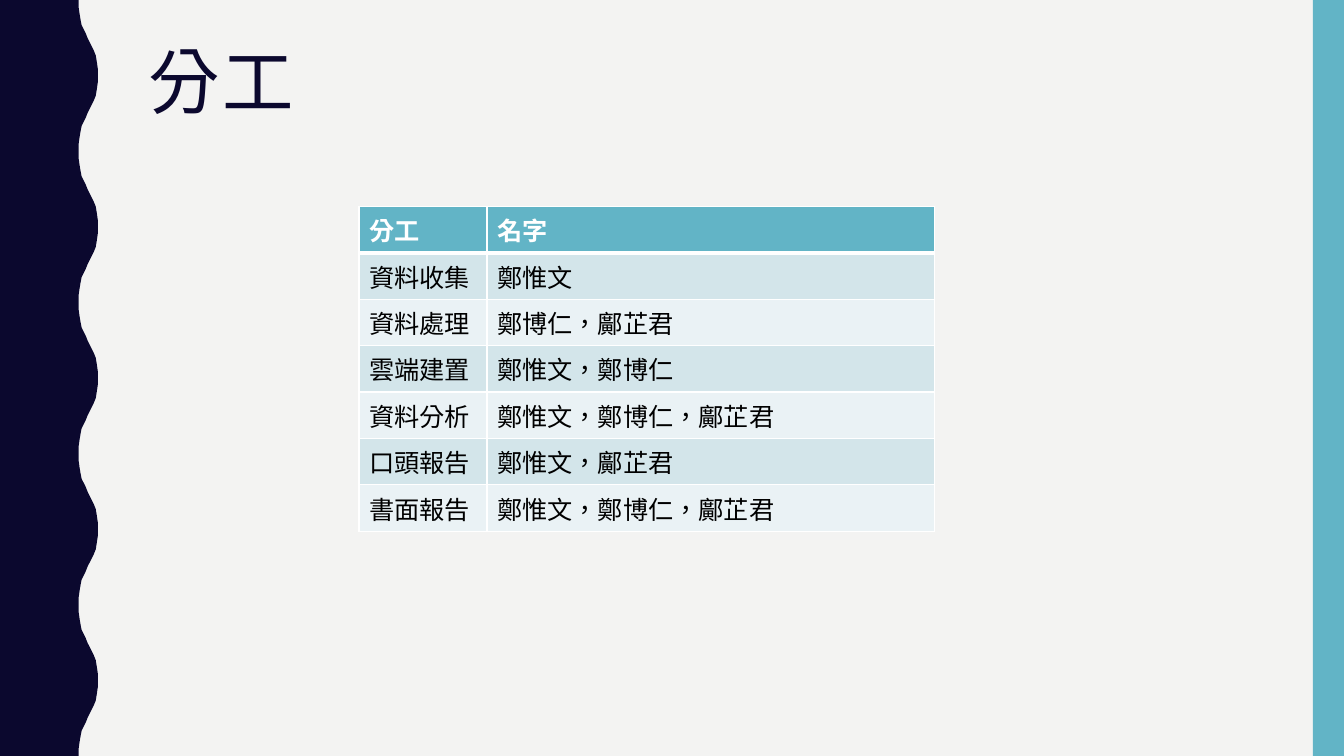
from lxml.etree import SubElement
from pptx import Presentation
from pptx.dml.color import RGBColor
from pptx.enum.shapes import MSO_SHAPE as Shape
from pptx.enum.text import MSO_ANCHOR as Anchor
from pptx.oxml.ns import qn
from pptx.util import Inches, Pt

NAVY, TEAL, PAPER = "0B082E", "62B4C6", "F3F3F2"
WHITE, BLACK = "FFFFFF", "000000"
BANDS = ["D3E5EA", "EAF2F5"]
WAVE_PERIOD = 1.5
HALF_WAVE = [
    (0.78, 0), (0.78, 0.07), (0.79, 0.14), (0.8, 0.2), (0.81, 0.25),
    (0.83, 0.29), (0.85, 0.33), (0.87, 0.38), (0.89, 0.42), (0.91, 0.46),
    (0.93, 0.5), (0.95, 0.55), (0.96, 0.61), (0.97, 0.68), (0.97, 0.75),
]
DUTIES = [
    ("分工", "名字"),
    ("資料收集", "鄭惟文"),
    ("資料處理", "鄭博仁，鄺芷君"),
    ("雲端建置", "鄭惟文，鄭博仁"),
    ("資料分析", "鄭惟文，鄭博仁，鄺芷君"),
    ("口頭報告", "鄭惟文，鄺芷君"),
    ("書面報告", "鄭惟文，鄭博仁，鄺芷君"),
]


def paint(fill, color):
    """Give a fill one solid colour."""
    fill.solid()
    fill.fore_color.rgb = RGBColor.from_string(color)


def finish(shape, color):
    """Make a shape flat, with a plain fill and no outline."""
    paint(shape.fill, color)
    shape.line.fill.background()
    shape.shadow.inherit = False


def add_span(para, text, font, size, color, bold=False):
    """Add one run of styled Traditional Chinese text."""
    span = para.add_run()
    span.text = text
    span.font.name = font
    span.font.size = Pt(size)
    span.font.bold = bold
    span.font._element.set("lang", "zh-TW")
    paint(span.font.fill, color)
    return span


def add_wavy_edge(page, left, top, height):
    """Draw the band whose right side is a repeated wave."""
    mirrored = [(x, WAVE_PERIOD - y) for x, y in HALF_WAVE[-2:0:-1]]
    wave = [
        (x, y + turn * WAVE_PERIOD)
        for turn in range(round(height / WAVE_PERIOD))
        for x, y in HALF_WAVE + mirrored
    ]
    outline = wave + [(HALF_WAVE[0][0], height), (0, height)]
    builder = page.shapes.build_freeform(Inches(left), Inches(top))
    builder.add_line_segments(
        [(Inches(left + x), Inches(top + y)) for x, y in outline]
    )
    finish(builder.convert_to_shape(), NAVY)


def add_side_bar(page, left, top, width, height):
    """Draw the plain bar along the right side."""
    bar = page.shapes.add_shape(
        Shape.RECTANGLE, *map(Inches, (left, top, width, height))
    )
    finish(bar, TEAL)


def add_title(page, left, top, width, height, text):
    """Write the slide heading."""
    box = page.shapes.add_textbox(*map(Inches, (left, top, width, height)))
    frame = box.text_frame
    frame.word_wrap = True
    frame.vertical_anchor = Anchor.TOP
    para = frame.paragraphs[0]
    para.line_spacing = 0.9
    span = add_span(para, text, "Arial Narrow", 51, NAVY)
    span.font._element.set("spc", "200")


def add_borders(cell, bottom):
    """Draw white cell borders, with the given bottom width in points."""
    properties = cell._tc.get_or_add_tcPr()
    for tag, width in (("lnL", 1), ("lnR", 1), ("lnT", 1), ("lnB", bottom)):
        line = SubElement(properties, qn(f"a:{tag}"), w=str(Pt(width)))
        fill = SubElement(line, qn("a:solidFill"))
        SubElement(fill, qn("a:srgbClr"), val=WHITE)


def add_duty_table(page, left, top, widths, row_height):
    """Fill the table of tasks and names."""
    height = row_height * len(DUTIES)
    table = page.shapes.add_table(
        len(DUTIES), len(widths),
        *map(Inches, (left, top, sum(widths), height)),
    ).table
    for column, width in zip(table.columns, widths):
        column.width = Inches(width)
    for index, (row, texts) in enumerate(zip(table.rows, DUTIES)):
        head = index == 0
        row.height = Inches(row_height)
        for cell, text in zip(row.cells, texts):
            add_borders(cell, 3 if head else 1)
            paint(cell.fill, TEAL if head else BANDS[(index - 1) % 2])
            para = cell.text_frame.paragraphs[0]
            add_span(para, text, "Calibri", 18, WHITE if head else BLACK, head)


def main():
    """Build and save the slide."""
    deck = Presentation()
    deck.slide_width, deck.slide_height = Inches(13.33), Inches(7.5)
    page = deck.slides.add_slide(deck.slide_layouts[6])
    paint(page.background.fill, PAPER)
    add_wavy_edge(page, 0, 0, 7.5)
    add_side_bar(page, 13.02, 0, 0.31, 7.5)
    add_title(page, 1.37, 0.42, 11.13, 1.63, "分工")
    add_duty_table(page, 3.56, 2.05, [1.27, 4.44], 0.46)
    deck.save("out.pptx")


if __name__ == "__main__":
    main()
